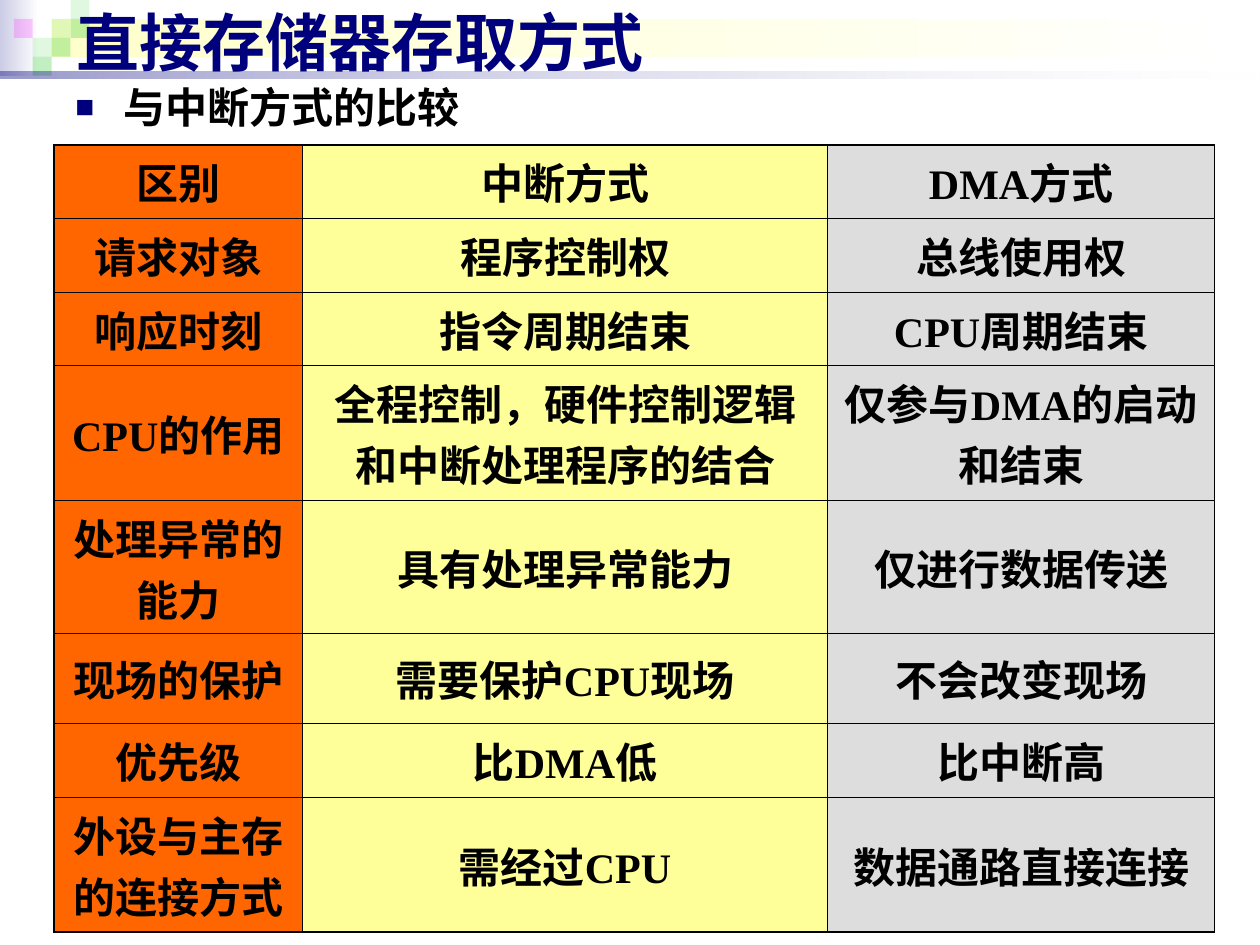
"""Build a slide that compares DMA with interrupt handling."""
from dataclasses import dataclass
from typing import NamedTuple

from lxml import etree
from pptx import Presentation
from pptx.dml.color import RGBColor
from pptx.enum.shapes import MSO_SHAPE
from pptx.enum.text import MSO_ANCHOR, PP_ALIGN
from pptx.oxml.ns import qn
from pptx.util import Inches, Pt

RECT = MSO_SHAPE.RECTANGLE
MIDDLE = MSO_ANCHOR.MIDDLE
TOP = MSO_ANCHOR.TOP
CENTER = PP_ALIGN.CENTER
LEFT = PP_ALIGN.LEFT


@dataclass(frozen=True)
class Theme:
    navy: str = "00007D"
    mist: str = "CCCCE6"
    cream: str = "FFFFCC"
    white: str = "FFFFFF"
    green: str = "33CC33"
    pink: str = "FF00FF"
    black: str = "000000"
    fills: tuple = ("FF6600", "FFFF99", "DDDDDD")
    sans: str = "Arial"
    serif: str = "Times New Roman"
    head: int = 36
    body: int = 24
    thin: float = 0.45
    thick: float = 1.08


class Box(NamedTuple):
    col: float
    row: float
    wide: float
    high: float


class Stop(NamedTuple):
    color: str
    alpha: int = 100


class Band(NamedTuple):
    box: Box
    start: Stop
    end: Stop


class Tile(NamedTuple):
    col: int
    row: int
    color: str
    alpha: int


THEME = Theme()
GRID = 100
SIDE = 15
TILE_X = 11
BANDS = (
    Band(Box(0, 0, 31, 60), Stop(THEME.mist), Stop(THEME.white)),
    Band(Box(41, 15, 955, 30), Stop(THEME.cream), Stop(THEME.white)),
)
RULE = Band(Box(0, 57, 1000, 5), Stop(THEME.navy, 40), Stop(THEME.white, 10))
TILES = (
    Tile(2, 1, THEME.green, 15),
    Tile(3, 0, THEME.green, 15),
    Tile(3, 1, THEME.green, 30),
    Tile(1, 2, THEME.green, 15),
    Tile(0, 1, THEME.pink, 20),
    Tile(2, 2, THEME.green, 30),
    Tile(1, 3, THEME.green, 30),
)
COLS = (197, 417, 307)
ROWS = (58, 59, 58, 107, 106, 71, 59, 107)
CELLS = (
    ("区别", "中断方式", "DMA方式"),
    ("请求对象", "程序控制权", "总线使用权"),
    ("响应时刻", "指令周期结束", "CPU周期结束"),
    ("CPU的作用", "全程控制，硬件控制逻辑和中断处理程序的结合", "仅参与DMA的启动和结束"),
    ("处理异常的能力", "具有处理异常能力", "仅进行数据传送"),
    ("现场的保护", "需要保护CPU现场", "不会改变现场"),
    ("优先级", "比DMA低", "比中断高"),
    ("外设与主存的连接方式", "需经过CPU", "数据通路直接连接"),
)


def unit(num: float) -> int:
    """Turn grid steps into a length."""
    return Inches(num / GRID)


def place(box: Box) -> list[int]:
    """Turn a grid box into left, top, width and height."""
    return [unit(num) for num in box]


def node(base, tag: str, **attrs: str):
    """Add a drawing element to a parent."""
    return etree.SubElement(base, qn(f"a:{tag}"), attrs)


def fade(fill, alpha: int) -> None:
    """Make each colour of a fill element partly clear."""
    if alpha < 100:
        for color in fill.iter(qn("a:srgbClr")):
            node(color, "alpha", val=str(alpha * 1000))


def add_rect(slide, box: Box):
    """Add a rectangle without line or shadow."""
    shape = slide.shapes.add_shape(RECT, *place(box))
    shape.shadow.inherit = False
    shape.line.fill.background()
    return shape


def add_band(slide, band: Band) -> None:
    """Add a strip that fades from left to right."""
    shape = add_rect(slide, band.box)
    fill = shape.fill
    fill.gradient()
    fill.gradient_angle = 0
    parts = shape.element.spPr.iter(qn("a:gs"))
    for pos, (stop, tone, part) in enumerate(zip(fill.gradient_stops, band[1:], parts)):
        stop.position = pos
        stop.color.rgb = RGBColor.from_string(tone.color)
        fade(part, tone.alpha)


def add_tile(slide, tile: Tile) -> None:
    """Add one clear square of the corner pattern."""
    box = Box(TILE_X + tile.col * SIDE, tile.row * SIDE, SIDE, SIDE)
    shape = add_rect(slide, box)
    shape.fill.solid()
    shape.fill.fore_color.rgb = RGBColor.from_string(tile.color)
    fade(shape.element.spPr, tile.alpha)


def style(para, name: str, size: int, color: str, align=LEFT) -> None:
    """Set the bold type of a paragraph."""
    para.alignment = align
    font = para.font
    font.name, font.size, font.bold = name, Pt(size), True
    font.color.rgb = RGBColor.from_string(color)


def add_text(slide, box: Box, text: str, anchor):
    """Add a wrapped text box and return its paragraph."""
    frame = slide.shapes.add_textbox(*place(box)).text_frame
    frame.word_wrap = True
    frame.vertical_anchor = anchor
    frame.text = text
    return frame.paragraphs[0]


def add_bullet(para) -> None:
    """Give a paragraph a square bullet and a hanging indent."""
    props = para._p.get_or_add_pPr()
    props.set("marL", str(unit(38)))
    props.set("indent", str(-unit(38)))
    node(node(props, "buClr"), "srgbClr", val=THEME.navy)
    node(props, "buSzPct", val="75000")
    node(props, "buFont", typeface=THEME.sans)
    node(props, "buChar", char="■")


def add_edges(cell, row: int, col: int) -> None:
    """Draw cell borders, thicker on the outside of the table."""
    outer = {"L": col == 0, "R": col == len(COLS) - 1,
             "T": row == 0, "B": row == len(ROWS) - 1}
    props = cell._tc.get_or_add_tcPr()
    for side, edge in outer.items():
        width = Pt(THEME.thick if edge else THEME.thin)
        line = node(props, f"ln{side}", w=str(width))
        node(node(line, "solidFill"), "srgbClr", val=THEME.black)


def add_grid(slide, box: Box) -> None:
    """Add the comparison table."""
    table = slide.shapes.add_table(len(ROWS), len(COLS), *place(box)).table
    table.first_row = table.horz_banding = False
    for col, wide in zip(table.columns, COLS):
        col.width = unit(wide)
    for row, high in zip(table.rows, ROWS):
        row.height = unit(high)
    for row, texts in enumerate(CELLS):
        for col, text in enumerate(texts):
            cell = table.cell(row, col)
            cell.text = text
            cell.vertical_anchor = MIDDLE
            add_edges(cell, row, col)
            cell.fill.solid()
            cell.fill.fore_color.rgb = RGBColor.from_string(THEME.fills[col])
            style(cell.text_frame.paragraphs[0], THEME.serif, THEME.body, THEME.black, CENTER)


def main() -> None:
    """Build and save the slide."""
    deck = Presentation()
    deck.slide_width, deck.slide_height = unit(1000), unit(750)
    slide = deck.slides.add_slide(deck.slide_layouts[6])
    for band in BANDS:
        add_band(slide, band)
    for tile in TILES:
        add_tile(slide, tile)
    add_band(slide, RULE)
    title = add_text(slide, Box(51, -3, 937, 71), "直接存储器存取方式", MIDDLE)
    style(title, THEME.sans, THEME.head, THEME.navy)
    point = add_text(slide, Box(50, 60, 461, 677), "与中断方式的比较", TOP)
    add_bullet(point)
    style(point, THEME.serif, THEME.body, THEME.black)
    add_grid(slide, Box(43, 115, sum(COLS), sum(ROWS)))
    deck.save("out.pptx")


if __name__ == "__main__":
    main()
